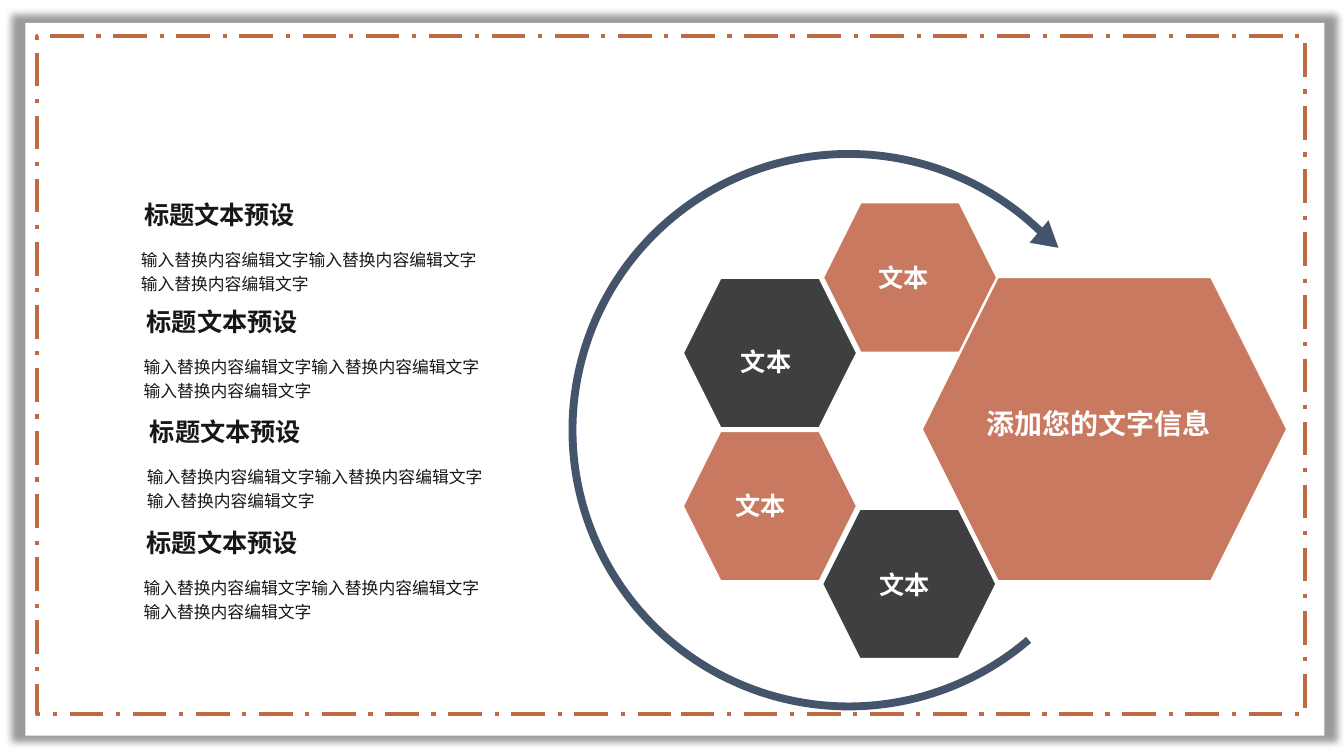
from dataclasses import dataclass

from lxml.etree import SubElement
from pptx import Presentation
from pptx.dml.color import RGBColor
from pptx.enum.dml import MSO_LINE
from pptx.enum.shapes import MSO_SHAPE
from pptx.enum.text import MSO_AUTO_SIZE
from pptx.oxml.ns import qn
from pptx.util import Cm, Pt


@dataclass(frozen=True)
class Theme:
    font: str = "Open Sans"
    white: str = "FFFFFF"
    black: str = "000000"
    ink: str = "181717"
    clay: str = "C87960"
    charcoal: str = "3F3F3F"
    navy: str = "44546A"
    border: str = "BE6B41"
    body_size: int = 12
    heading_size: int = 18
    center_size: int = 20


class SlideBuilder:
    def __init__(self, slide, theme):
        self.theme = theme
        self.slide = slide
        self.shapes = slide.shapes

    def start_group(self):
        self.shapes = self.slide.shapes.add_group_shape().shapes

    def end_group(self):
        self.shapes = self.slide.shapes

    def shape(self, kind, box, fill=None, line=None, line_width=1, rotation=0):
        shape = self.shapes.add_shape(kind, *map(Cm, box))
        shape.shadow.inherit = False
        shape.rotation = rotation
        if fill:
            shape.fill.solid()
            shape.fill.fore_color.rgb = RGBColor.from_string(fill)
        else:
            shape.fill.background()
        if line:
            shape.line.color.rgb = RGBColor.from_string(line)
            shape.line.width = Pt(line_width)
        else:
            shape.line.fill.background()
        return shape

    def glow(self, shape):
        effects = shape._element.spPr.find(qn("a:effectLst"))
        shadow = SubElement(
            effects, qn("a:outerShdw"), blurRad=str(Pt(5)), sx="102000",
            sy="102000", algn="ctr", rotWithShape="0")
        color = SubElement(shadow, qn("a:srgbClr"), val=self.theme.black)
        SubElement(color, qn("a:alpha"), val="40000")

    def text(self, text, box, size, color, bold=False, wrap=True, grow=False, spacing=None):
        frame = self.shapes.add_textbox(*map(Cm, box)).text_frame
        frame.word_wrap = wrap
        frame.auto_size = MSO_AUTO_SIZE.SHAPE_TO_FIT_TEXT if grow else MSO_AUTO_SIZE.NONE
        paragraph = frame.paragraphs[0]
        if spacing:
            paragraph.line_spacing = spacing
        run = paragraph.add_run()
        run.text = text
        run.font.size = Pt(size)
        run.font.bold = bold
        run.font.color.rgb = RGBColor.from_string(color)
        run.font.name = self.theme.font
        SubElement(run._r.get_or_add_rPr(), qn("a:ea"), typeface=self.theme.font)

    def frame(self):
        panel = self.shape(MSO_SHAPE.RECTANGLE, (0.64, 0.58, 32.74, 17.96), self.theme.white)
        self.glow(panel)
        border = self.shape(MSO_SHAPE.RECTANGLE, (0.94, 0.91, 31.95, 17.09),
                            line=self.theme.border, line_width=3)
        border.line.dash_style = MSO_LINE.LONG_DASH_DOT

    def circular_arrow(self):
        self.start_group()
        arc = self.shape(MSO_SHAPE.BLOCK_ARC, (14.33, 3.78, 14.12, 14.12),
                         self.theme.navy, rotation=315.5)
        for index, value in enumerate((56.32, 215.73, 0.014)):
            arc.adjustments[index] = value
        self.shape(MSO_SHAPE.ISOSCELES_TRIANGLE, (26.06, 5.72, 0.74, 0.64),
                   self.theme.navy, rotation=130)
        self.end_group()

    def hexagon(self, box, fill, label, label_box, size):
        self.start_group()
        self.shape(MSO_SHAPE.HEXAGON, box, fill, self.theme.white)
        self.text(label, label_box, size, self.theme.white, bold=True, grow=True)
        self.end_group()

    def entry(self, left, top):
        self.text("输入替换内容编辑文字" * 3, (left - 0.08, top + 1.17, 9.19, 1.85),
                  self.theme.body_size, self.theme.ink, spacing=1.2)
        self.text("标题文本预设", (left, top, 7.29, 1.17),
                  self.theme.heading_size, self.theme.ink, bold=True, wrap=False)


def main():
    presentation = Presentation()
    presentation.slide_width = Cm(33.87)
    presentation.slide_height = Cm(19.05)
    theme = Theme()
    builder = SlideBuilder(
        presentation.slides.add_slide(presentation.slide_layouts[6]), theme)

    builder.frame()
    builder.circular_arrow()
    builder.hexagon((23.24, 6.99, 9.19, 7.65), theme.clay, "添加您的文字信息",
                    (24.61, 10.11, 6.45, 1.12), theme.center_size)
    small_hexagons = (
        ((20.75, 5.11), theme.clay, (21.89, 6.48)),
        ((17.22, 7.01), theme.charcoal, (18.42, 8.61)),
        ((17.22, 10.87), theme.clay, (18.29, 12.24)),
        ((20.73, 12.83), theme.charcoal, (21.92, 14.22)),
    )
    for corner, fill, label_corner in small_hexagons:
        builder.hexagon((*corner, 4.37, 3.77), fill, "文本",
                        (*label_corner, 2.46, 1.02), theme.heading_size)
    for left, top in ((3.38, 4.9), (3.45, 7.59), (3.53, 10.36), (3.45, 13.16)):
        builder.entry(left, top)

    presentation.save("out.pptx")


if __name__ == "__main__":
    main()
